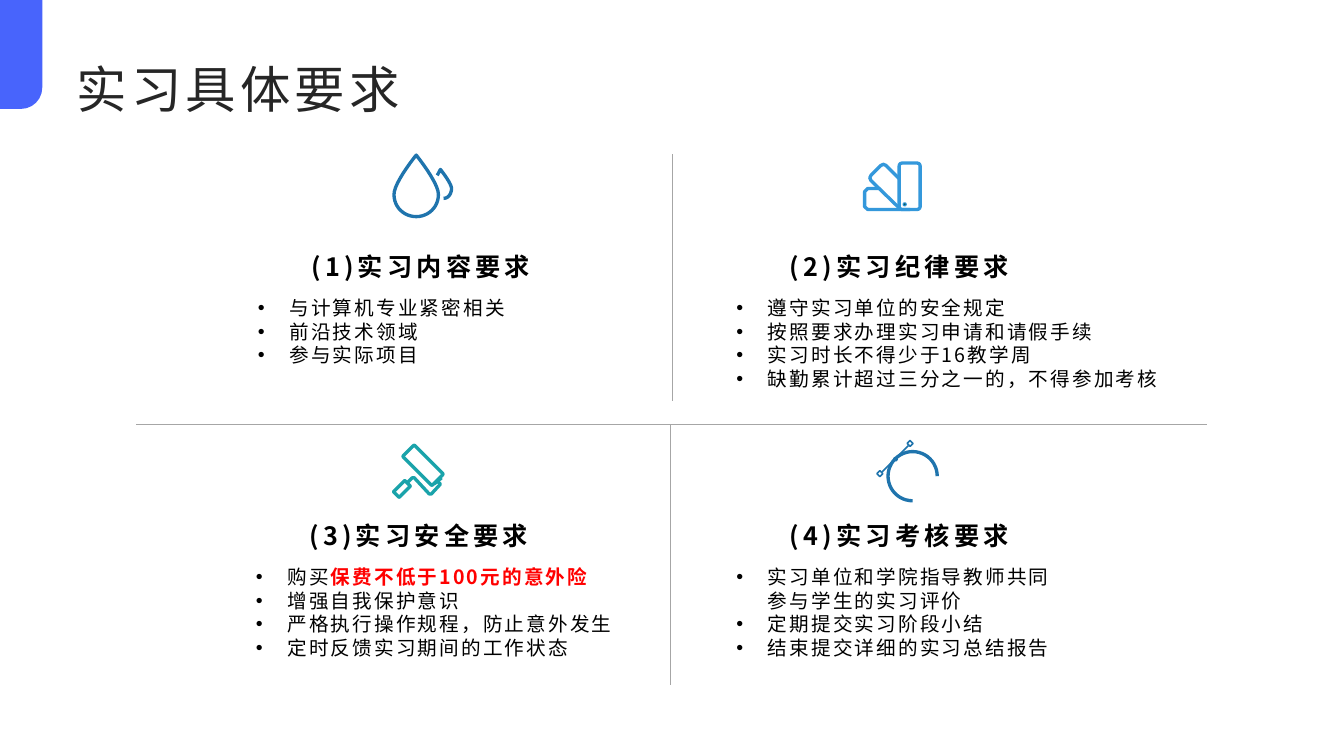
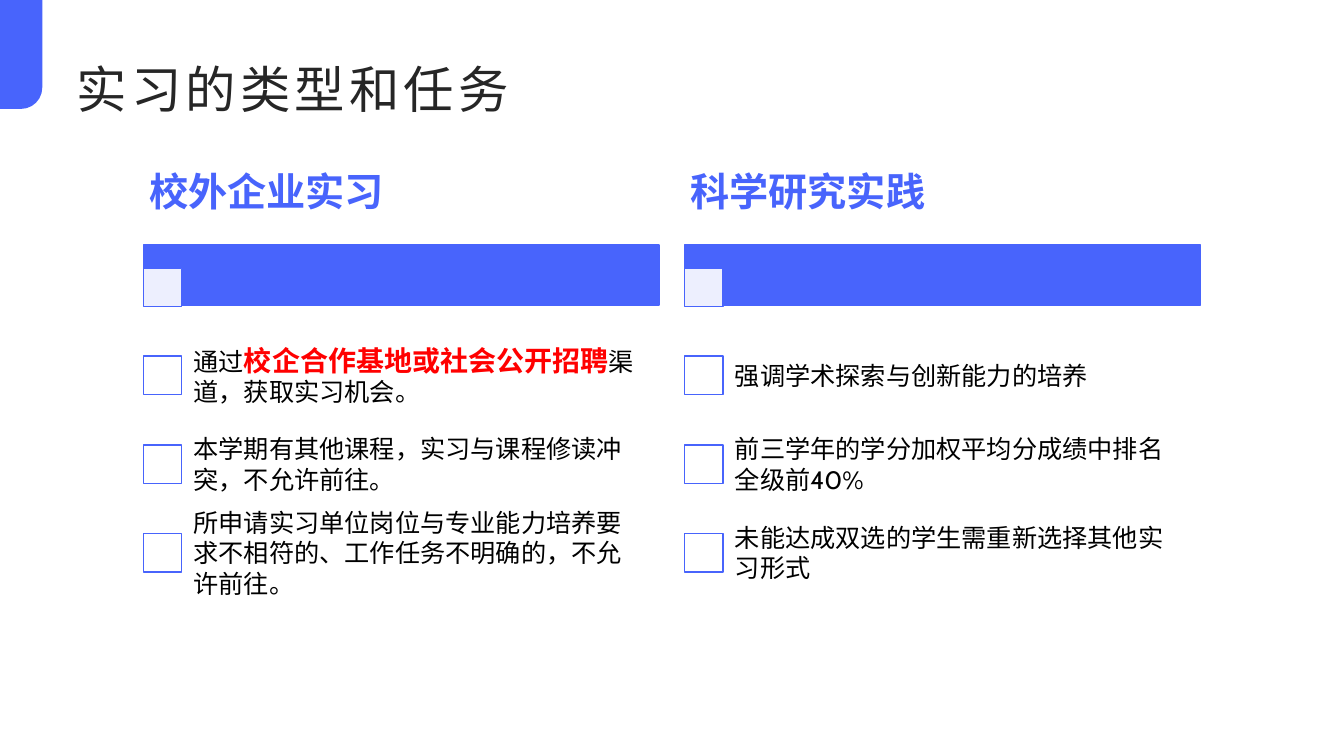
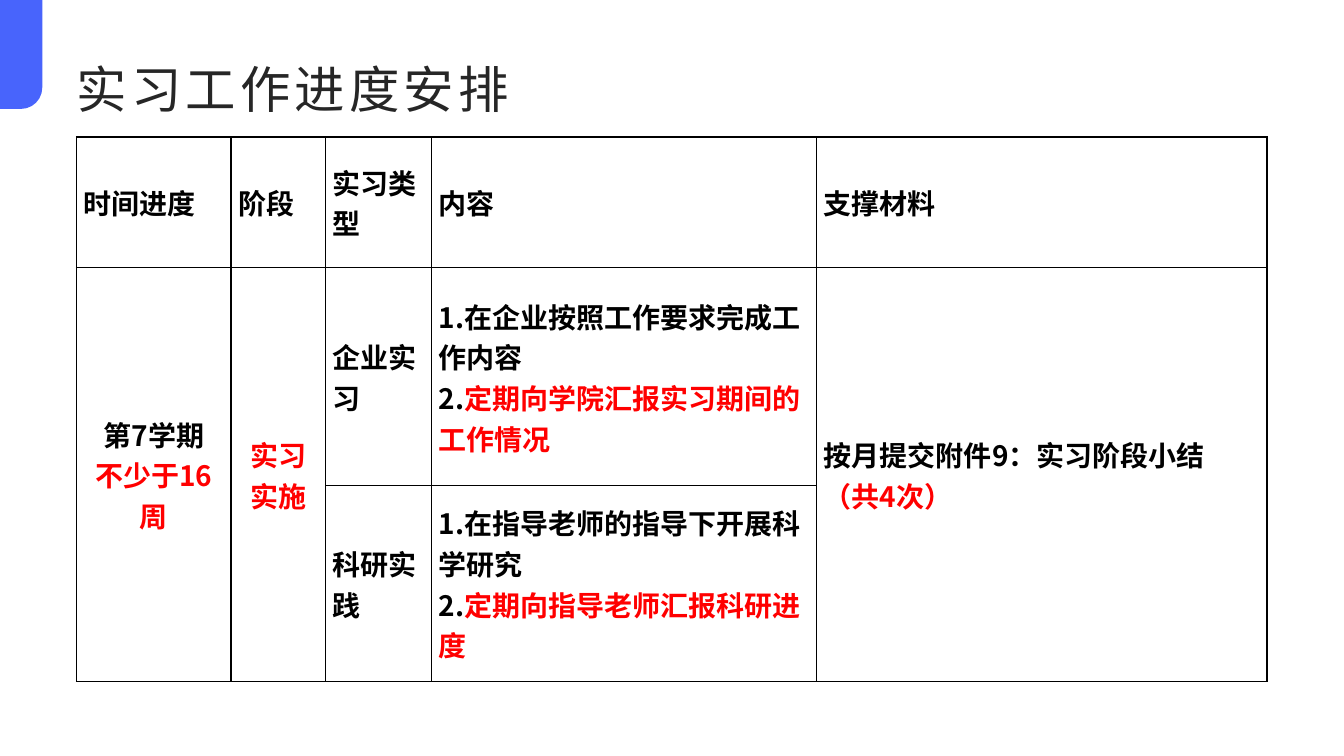
import lxml.etree
import pptx
import pptx.dml.color
import pptx.enum.shapes
import pptx.enum.text
import pptx.oxml.ns
import pptx.util

Cm, Pt = pptx.util.Cm, pptx.util.Pt
RGBColor = pptx.dml.color.RGBColor
SHAPE = pptx.enum.shapes.MSO_SHAPE
ALIGN = pptx.enum.text.PP_ALIGN
ANCHOR = pptx.enum.text.MSO_ANCHOR
qn = pptx.oxml.ns.qn

ACCENT = RGBColor(0x48, 0x64, 0xFC)
INK = RGBColor(0x26, 0x26, 0x26)
BLACK = RGBColor(0x00, 0x00, 0x00)
WHITE = RGBColor(0xFF, 0xFF, 0xFF)
RED = RGBColor(0xFF, 0x00, 0x00)
GRAY = RGBColor(0xA6, 0xA6, 0xA6)
NAVY = RGBColor(0x1F, 0x74, 0xAD)
SKY = RGBColor(0x34, 0x98, 0xDB)
TEAL = RGBColor(0x1A, 0xA3, 0xAA)
PINE = RGBColor(0x03, 0x59, 0x5D)
TITLE_FONT, CARD_FONT, TEXT_FONT = "Karla", "Cabin", "Noto Sans CJK SC"
TITLE_ONLY, COMPARISON = 5, 4
THICK, THIN = 2.38, 1.13


def sub(parent, tag, **attrs):
    """Append an XML child with the given attributes."""
    return lxml.etree.SubElement(parent, qn(tag), **attrs)


def flatten(start, curves, steps=12):
    """Return points along a chain of cubic curves."""
    points = [start]
    for c1, c2, end in curves:
        a = points[-1]
        for i in range(1, steps + 1):
            t = i / steps
            u = 1 - t
            points.append(tuple(
                u**3 * a[k] + 3 * u * u * t * c1[k] + 3 * u * t * t * c2[k] + t**3 * end[k]
                for k in (0, 1)))
    return points


class Deck:
    """Holds the shared style and the current slide."""

    def __init__(self):
        """Start a widescreen presentation."""
        self.prs = pptx.Presentation()
        self.prs.slide_width, self.prs.slide_height = Cm(33.87), Cm(19.05)
        self.s = None

    def slide(self, title, layout=TITLE_ONLY):
        """Add a slide with the corner tag and its title."""
        self.s = self.prs.slides.add_slide(self.prs.slide_layouts[layout])
        tag = self.shape(SHAPE.ROUND_1_RECTANGLE, -0.84, 0.84, 2.74, 1.07, fill=ACCENT, turn=90)
        tag.adjustments[0] = 0.5
        self.text(1.93, 0.99, 30, 2, [[title]], 36, TITLE_FONT, color=INK, spacing=3,
                  anchor=ANCHOR.BOTTOM, inset=(0, 0), box=self.s.shapes.title)

    def runs(self, p, parts, size, font, color=BLACK, bold=False, spacing=0):
        """Write strings and (text, size) red runs into a paragraph."""
        for part in parts:
            if part == "\n":
                p.add_line_break()
                continue
            red = isinstance(part, tuple)
            r = p.add_run()
            r.text = part[0] if red else part
            r.font.size = Pt(part[1] if red else size)
            r.font.bold = bold or red
            r.font.color.rgb = RED if red else color
            r.font.name = font
            rpr = r._r.get_or_add_rPr()
            sub(rpr, "a:ea", typeface=font)
            if spacing:
                rpr.set("spc", str(int(spacing * 100)))

    def text(self, x, y, w, h, paragraphs, size, font, color=BLACK, bold=False, spacing=0,
             align=ALIGN.LEFT, anchor=ANCHOR.MIDDLE, inset=(0.25, 0.13), bullet=False, box=None):
        """Fill a placeholder or a new text box."""
        if box is None:
            box = self.s.shapes.add_textbox(0, 0, 0, 0)
        box.left, box.top, box.width, box.height = Cm(x), Cm(y), Cm(w), Cm(h)
        tf = box.text_frame
        tf.word_wrap = True
        tf.auto_size = pptx.enum.text.MSO_AUTO_SIZE.NONE
        tf.vertical_anchor = anchor
        tf.margin_left = tf.margin_right = Cm(inset[0])
        tf.margin_top = tf.margin_bottom = Cm(inset[1])
        for i, parts in enumerate(paragraphs):
            p = tf.add_paragraph() if i else tf.paragraphs[0]
            p.alignment = align
            p.space_before = Pt(0)
            if bullet:
                ppr = p._p.get_or_add_pPr()
                ppr.set("marL", str(Cm(0.79)))
                ppr.set("indent", str(-Cm(0.79)))
                sub(ppr, "a:buFont", typeface="Arial")
                sub(ppr, "a:buChar", char="•")
            self.runs(p, parts, size, font, color, bold, spacing)

    def paint(self, shape, fill=None, line=None, width=1):
        """Set fill and outline, and drop the shadow."""
        shape.shadow.inherit = False
        if fill is None:
            shape.fill.background()
        else:
            shape.fill.solid()
            shape.fill.fore_color.rgb = fill
        if line is None:
            shape.line.fill.background()
        else:
            shape.line.color.rgb = line
            shape.line.width = Pt(width)
        return shape

    def shape(self, kind, x, y, w, h, fill=None, line=None, width=1, turn=0):
        """Add a preset shape."""
        shape = self.s.shapes.add_shape(kind, Cm(x), Cm(y), Cm(w), Cm(h))
        shape.rotation = turn
        return self.paint(shape, fill, line, width)

    def outline(self, points, color, close=False):
        """Draw an unfilled freeform through the points."""
        points = [(Cm(x), Cm(y)) for x, y in points]
        builder = self.s.shapes.build_freeform(*points[0])
        builder.add_line_segments(points[1:], close=close)
        self.paint(builder.convert_to_shape(), line=color, width=THICK)

    def line(self, x1, y1, x2, y2, color=GRAY, width=0.5):
        """Draw a straight line."""
        c = self.s.shapes.add_connector(
            pptx.enum.shapes.MSO_CONNECTOR.STRAIGHT, Cm(x1), Cm(y1), Cm(x2), Cm(y2))
        c.line.color.rgb = color
        c.line.width = Pt(width)
        sub(c._element.spPr, "a:effectLst")

    def table(self, x, y, widths, heights, cells, merges):
        """Add a ruled table from {(row, column): (alignment, paragraphs)}."""
        frame = self.s.shapes.add_table(
            len(heights), len(widths), Cm(x), Cm(y), Cm(sum(widths)), Cm(sum(heights)))
        table = frame.table
        table.first_row = table.horz_banding = False
        for column, w in zip(table.columns, widths):
            column.width = Cm(w)
        for row, h in zip(table.rows, heights):
            row.height = Cm(h)
        for cell in table.iter_cells():
            cell.fill.solid()
            cell.fill.fore_color.rgb = WHITE
            cell.vertical_anchor = ANCHOR.MIDDLE
            cell.margin_left = cell.margin_right = Cm(0.18)
            cell.margin_top = cell.margin_bottom = 0
            tcpr = cell._tc.get_or_add_tcPr()
            for i, side in enumerate(("a:lnL", "a:lnR", "a:lnT", "a:lnB")):
                ln = sub(tcpr, side, w=str(Pt(1)))
                sub(sub(ln, "a:solidFill"), "a:srgbClr", val=str(BLACK))
                tcpr.insert(i, ln)
        for first, last in merges:
            table.cell(*first).merge(table.cell(*last))
        for place, (align, paragraphs) in cells.items():
            tf = table.cell(*place).text_frame
            for i, parts in enumerate(paragraphs):
                p = tf.add_paragraph() if i else tf.paragraphs[0]
                p.alignment = align
                self.runs(p, parts, 20, TEXT_FONT, bold=True)


def draw_icons(d):
    """Draw the drops, colour cards, paint roller and pen arc."""
    d.outline(flatten((11.05, 4.9), [
        ((11.05, 5.23), (10.79, 5.46), (10.49, 5.46)),
        ((10.19, 5.46), (9.93, 5.23), (9.93, 4.9)),
        ((9.93, 4.6), (10.49, 3.91), (10.49, 3.91)),
        ((10.49, 3.91), (11.05, 4.6), (11.05, 4.9))]), NAVY, close=True)
    d.outline([(11.02, 4.42)] + flatten((11.1, 4.27), [
        ((11.1, 4.27), (11.38, 4.62), (11.38, 4.75)),
        ((11.38, 4.88), (11.3, 5), (11.18, 5))]), NAVY)

    d.outline([(22.17, 4.75), (21.87, 4.75), (21.79, 4.83), (21.79, 5.21),
               (21.87, 5.28), (22.94, 5.28)], SKY)
    d.outline([(22.66, 4.5), (22.33, 4.17), (22.26, 4.14), (22.2, 4.17), (21.95, 4.42),
               (21.92, 4.48), (21.95, 4.55), (22.68, 5.26)], SKY)
    card = d.shape(SHAPE.ROUNDED_RECTANGLE, 22.66, 4.11, 0.53, 1.17, line=SKY, width=THICK)
    card.adjustments[0] = 0.14
    d.shape(SHAPE.OVAL, 22.76, 5.11, 0.08, 0.08, PINE, SKY, 0.75)

    for x, y, w, h, turn in ((10.14, 11.52, 1.04, 0.41, 45), (9.93, 12.22, 0.4, 0.2, -45)):
        part = d.shape(SHAPE.ROUNDED_RECTANGLE, x, y, w, h, line=TEAL, width=THICK, turn=turn)
        part.adjustments[0] = 0.06
    d.outline([(11.02, 12.12), (11.1, 12.2), (10.87, 12.45), (10.82, 12.45),
               (10.44, 12.04), (10.39, 12.04), (10.26, 12.17)], TEAL)
    d.line(11.13, 12.04, 10.95, 12.19, TEAL, THICK)

    d.line(22.89, 11.23, 22.23, 11.89, NAVY, THIN)
    for x, y in ((22.86, 11.1), (22.1, 11.86)):
        d.shape(SHAPE.DIAMOND, x, y, 0.15, 0.15, line=NAVY, width=THIN)
    d.shape(SHAPE.OVAL, 22.53, 11.53, 0.08, 0.08, BLACK, NAVY, THIN)
    arc = d.shape(SHAPE.ARC, 22.38, 11.38, 1.24, 1.24, line=NAVY, width=THICK)
    arc.adjustments[0], arc.adjustments[1] = 54, 0


def requirements(d):
    """Build the four-quadrant requirements slide."""
    d.slide("实习具体要求", COMPARISON)
    d.line(3.43, 10.69, 30.43, 10.69)
    d.line(16.94, 3.89, 16.94, 10.11)
    d.line(16.89, 10.69, 16.89, 17.25)
    draw_icons(d)
    quadrants = [
        (6.25, 6.12, 8.71, "(1)实习内容要求",
         [["与计算机专业紧密相关"], ["前沿技术领域"], ["参与实际项目"]]),
        (18.31, 6.12, 12.12, "(2)实习纪律要求",
         [["遵守实习单位的安全规定"], ["按照要求办理实习申请和请假手续"],
          ["实习时长不得少于16教学周"], ["缺勤累计超过三分之一的，不得参加考核"]]),
        (6.2, 12.9, 10.69, "(3)实习安全要求",
         [["购买", ("保费不低于100元的意外险", 14)], ["增强自我保护意识"],
          ["严格执行操作规程，防止意外发生"], ["定时反馈实习期间的工作状态"]]),
        (18.31, 12.9, 8.71, "(4)实习考核要求",
         [["实习单位和学院指导教师共同参与学生的实习评价"], ["定期提交实习阶段小结"],
          ["结束提交详细的实习总结报告"]]),
    ]
    bodies = list(d.s.placeholders)[1:]
    for body, (x, y, w, heading, items) in zip(bodies, quadrants):
        d.text(x, y, 8.71, 1.17, [[heading]], 18, TEXT_FONT, bold=True, spacing=3,
               align=ALIGN.CENTER)
        d.text(x, y + 1.21, w, 3.15, items, 14, TEXT_FONT, spacing=1.5, anchor=ANCHOR.TOP,
               bullet=True, box=body)


def types(d):
    """Build the two-column slide of internship types."""
    d.slide("实习的类型和任务")
    columns = [
        ("校外企业实习", [
            ["通过", ("校企合作基地或社会公开招聘", 20), "渠道，获取实习机会。"],
            ["本学期有其他课程，实习与课程修读冲突，不允许前往。"],
            ["所申请实习单位岗位与专业能力培养要求不相符的、工作任务不明确的，不允许前往。"]]),
        ("科学研究实践", [
            ["强调学术探索与创新能力的培养"],
            ["前三学年的学分加权平均分成绩中排名全级前40%"],
            ["未能达成双选的学生需重新选择其他实习形式"]]),
    ]
    for i, (heading, items) in enumerate(columns):
        x = 3.61 + 13.64 * i
        d.shape(SHAPE.RECTANGLE, x, 6.17, 13, 1.52, ACCENT, ACCENT)
        square = d.shape(SHAPE.RECTANGLE, x, 6.76, 0.97, 0.97, WHITE, ACCENT)
        color = square._element.spPr.find(qn("a:solidFill")).find(qn("a:srgbClr"))
        sub(color, "a:alpha", val="90000")
        d.text(x, 3.43, 13, 2.74, [[heading]], 28, CARD_FONT, ACCENT, bold=True,
               inset=(0.15, 0.1))
        for j, item in enumerate(items):
            y = 8.33 + 2.24 * j
            d.shape(SHAPE.RECTANGLE, x, y + 0.64, 0.97, 0.97, WHITE, ACCENT)
            d.text(x + 0.91, y, 12.09, 2.24, [item], 18, CARD_FONT, inset=(0.36, 0.36))


def schedule(d):
    """Build the schedule table slide."""
    d.slide("实习工作进度安排")
    left, center = ALIGN.LEFT, ALIGN.CENTER
    headers = ("时间进度", "阶段", "实习类型", "内容", "支撑材料")
    cells = {(0, i): (left, [[header]]) for i, header in enumerate(headers)}
    cells.update({
        (1, 0): (center, [["第7学期", "\n", ("不少于16周", 20)]]),
        (1, 1): (center, [[("实习实施", 20)]]),
        (1, 2): (left, [["企业实习"]]),
        (1, 3): (left, [["1.在企业按照工作要求完成工作内容"],
                        ["2.", ("定期向学院汇报实习期间的工作情况", 20)]]),
        (1, 4): (left, [["按月提交附件9：实习阶段小结", "\n", ("（共4次）", 20)]]),
        (2, 2): (left, [["科研实践"]]),
        (2, 3): (left, [["1.在指导老师的指导下开展科学研究"],
                        ["2.", ("定期向指导老师汇报科研进度", 20)]]),
    })
    d.table(1.93, 3.45, (3.89, 2.39, 2.67, 9.7, 11.35), (3.3, 5.49, 4.93), cells,
            [((1, i), (2, i)) for i in (0, 1, 4)])


def main():
    """Build and save the deck."""
    d = Deck()
    requirements(d)
    types(d)
    schedule(d)
    d.prs.save("out.pptx")


if __name__ == "__main__":
    main()
